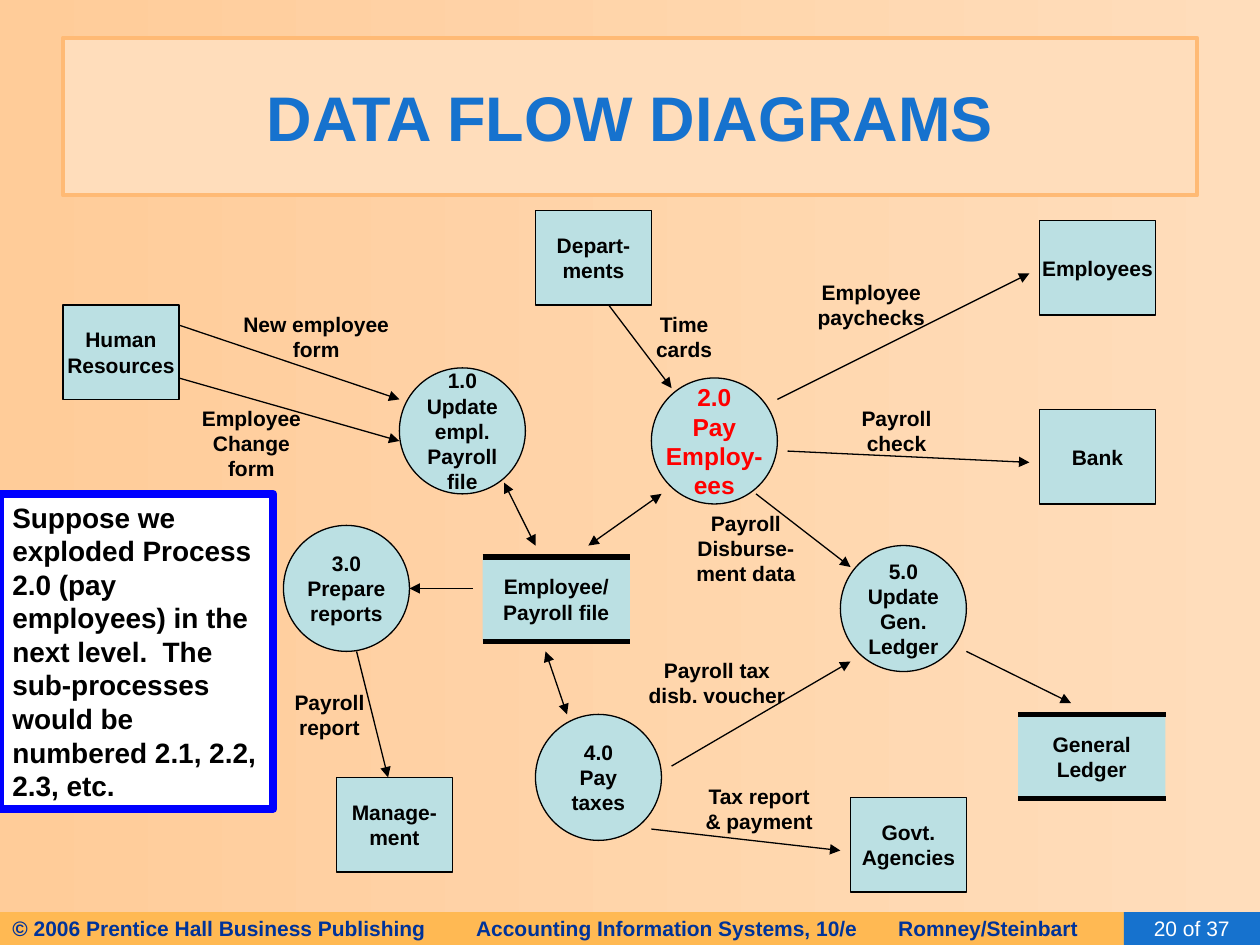
from typing import NamedTuple

from lxml import etree
from pptx import Presentation
from pptx.dml.color import RGBColor
from pptx.enum.shapes import MSO_CONNECTOR, MSO_SHAPE
from pptx.enum.text import MSO_ANCHOR, MSO_AUTO_SIZE, PP_ALIGN
from pptx.oxml.ns import qn
from pptx.util import Inches, Pt

RECTANGLE, OVAL = MSO_SHAPE.RECTANGLE, MSO_SHAPE.OVAL
STRAIGHT = MSO_CONNECTOR.STRAIGHT
LEFT, CENTER, RIGHT = PP_ALIGN.LEFT, PP_ALIGN.CENTER, PP_ALIGN.RIGHT
TOP, MIDDLE = MSO_ANCHOR.TOP, MSO_ANCHOR.MIDDLE
FIT_SHAPE = MSO_AUTO_SIZE.SHAPE_TO_FIT_TEXT

FONT = "Arial"
COLORS = {
    "background_start": "FFCC99", "background_end": "FFDDBB",
    "title_line": "FFBA75", "blue": "1672CE", "footer": "FFB953",
    "footer_text": "003399", "node": "BBE0E3", "black": "000000",
    "red": "FF0000", "white": "FFFFFF", "note_line": "0000FF",
}
PROCESS_SIZE = (1, 1)
ENTITY_SIZE = (0.92, 0.75)
STORE_SIZE = (1.17, 0.67)


class Node(NamedTuple):
    left: float
    top: float
    text: str
    size: float = 12
    color: str = "black"


class Label(NamedTuple):
    left: float
    top: float
    width: float
    text: str


class Flow(NamedTuple):
    start: tuple[float, float]
    end: tuple[float, float]
    two_way: bool = False


PROCESSES = [
    Node(3.17, 2.92, "1.0\nUpdate\nempl.\nPayroll\nfile"),
    Node(5.17, 3, "2.0\nPay\nEmploy-\nees", 14, "red"),
    Node(6.67, 4.33, "5.0\nUpdate\nGen.\nLedger"),
    Node(4.25, 5.67, "4.0\nPay\ntaxes"),
    Node(2.25, 4.17, "3.0\nPrepare\nreports"),
]
STORES = [
    Node(3.83, 4.42, "Employee/\nPayroll file"),
    Node(8.08, 5.67, "General\nLedger"),
]
ENTITIES = [
    Node(0.5, 2.42, "Human\nResources"),
    Node(4.25, 1.67, "Depart-\nments"),
    Node(8.25, 1.75, "Employees"),
    Node(8.25, 3.25, "Bank"),
    Node(6.75, 6.33, "Govt.\nAgencies"),
    Node(2.67, 6.17, "Manage-\nment"),
]
FLOWS = [
    Flow((1.42, 3), (3.17, 3.5)),
    Flow((1.42, 2.58), (3.17, 3.17)),
    Flow((4.83, 2.42), (5.33, 3.08)),
    Flow((6.17, 3.17), (8.17, 2.17)),
    Flow((6.25, 3.58), (8.17, 3.67)),
    Flow((6, 3.92), (6.75, 4.5)),
    Flow((5.33, 6.08), (6.75, 5.25)),
    Flow((7.67, 5.17), (8.5, 5.58)),
    Flow((5.17, 6.58), (6.67, 6.75)),
    Flow((4.5, 5.67), (4.33, 5.17), True),
    Flow((2.83, 5.17), (3.08, 6.17)),
    Flow((3.75, 4.67), (3.25, 4.67)),
    Flow((4, 3.83), (4.25, 4.33), True),
    Flow((4.67, 4.33), (5.25, 3.92), True),
]
LABELS = [
    Label(1.5, 3.17, 0.99, "Employee\nChange\nform"),
    Label(1.83, 2.42, 1.36, "New employee\nform"),
    Label(5.11, 2.42, 0.64, "Time\ncards"),
    Label(6.39, 2.17, 1.05, "Employee\npaychecks"),
    Label(6.74, 3.17, 0.75, "Payroll\ncheck"),
    Label(5.43, 4, 0.98, "Payroll\nDisburse-\nment data"),
    Label(5.05, 5.17, 1.28, "Payroll tax\ndisb. voucher"),
    Label(5.5, 6.17, 1.05, "Tax report\n& payment"),
    Label(2.24, 5.42, 0.75, "Payroll\nreport"),
]


def rgb(name: str) -> RGBColor:
    return RGBColor.from_string(COLORS[name])


def write(shape, text: str, size: float = 12, color: str = "black", bold: bool = True,
          align=CENTER, anchor=MIDDLE, wrap: bool = False, tabs: tuple = ()) -> None:
    """Fill a shape with one paragraph per line of text; tabs are in inches."""
    frame = shape.text_frame
    frame.text = text
    frame.word_wrap = wrap
    frame.vertical_anchor = anchor
    for paragraph in frame.paragraphs:
        paragraph.alignment = align
        if tabs:
            tab_list = etree.SubElement(paragraph._p.get_or_add_pPr(), qn("a:tabLst"))
            for position in tabs:
                etree.SubElement(tab_list, qn("a:tab"), pos=str(Inches(position)), algn="l")
        font = paragraph.font
        font.name, font.size, font.bold = FONT, Pt(size), bold
        font.color.rgb = rgb(color)


def add_box(slide, kind, left: float, top: float, width: float, height: float,
            fill: str, line: str | None = None, line_width: float = 0.75):
    shape = slide.shapes.add_shape(kind, Inches(left), Inches(top), Inches(width), Inches(height))
    shape.shadow.inherit = False
    shape.fill.solid()
    shape.fill.fore_color.rgb = rgb(fill)
    if line:
        shape.line.color.rgb = rgb(line)
        shape.line.width = Pt(line_width)
    else:
        shape.line.fill.background()
    return shape


def add_line(slide, start: tuple[float, float], end: tuple[float, float],
             width: float = 0.75, arrows: tuple = ()) -> None:
    """Draw a black line; arrows names the ends (headEnd, tailEnd) that get a triangle."""
    points = [Inches(value) for value in (*start, *end)]
    connector = slide.shapes.add_connector(STRAIGHT, *points)
    connector.line.color.rgb = rgb("black")
    connector.line.width = Pt(width)
    for arrow in arrows:
        etree.SubElement(connector.line._get_or_add_ln(), qn(f"a:{arrow}"), type="triangle")
    etree.SubElement(connector._element.spPr, qn("a:effectLst"))


def add_node(slide, kind, node: Node, size: tuple[float, float], line: str | None) -> None:
    shape = add_box(slide, kind, node.left, node.top, *size, "node", line)
    write(shape, node.text, node.size, node.color)


def add_store(slide, store: Node) -> None:
    """Draw a data store: a plain box with a thick bar above and below."""
    width, height = STORE_SIZE
    add_node(slide, RECTANGLE, store, STORE_SIZE, None)
    for y in (store.top, store.top + height):
        add_line(slide, (store.left, y), (store.left + width, y), 3)


def add_label(slide, label: Label) -> None:
    """Add a flow label without side margins, so that no line of it breaks."""
    height = 0.1 + 0.2 * len(label.text.split("\n"))
    box = slide.shapes.add_textbox(Inches(label.left), Inches(label.top),
                                   Inches(label.width), Inches(height))
    write(box, label.text, anchor=TOP, wrap=True)
    box.text_frame.margin_left = box.text_frame.margin_right = Inches(0)


def set_background(slide) -> None:
    fill = slide.background.fill
    fill.gradient()
    fill.gradient_angle = 0
    for stop, name in zip(fill.gradient_stops, ("background_start", "background_end")):
        stop.color.rgb = rgb(name)


def add_frame(slide) -> None:
    """Add the footer bars and the title."""
    footer = add_box(slide, RECTANGLE, 0, 7.24, 9.25, 0.26, "footer")
    write(footer, "© 2006 Prentice Hall Business Publishing\tAccounting Information Systems, 10/e"
          "\tRomney/Steinbart", color="footer_text", align=LEFT, wrap=True, tabs=(3.68, 7.03))
    page = add_box(slide, RECTANGLE, 8.92, 7.24, 1.08, 0.26, "blue")
    write(page, "20 of 37", color="white", bold=False, align=RIGHT, wrap=True)
    page.text_frame.margin_right = Inches(0.24)
    title = add_box(slide, RECTANGLE, 0.5, 0.3, 9, 1.25, "background_end", "title_line", 2.5)
    write(title, "DATA FLOW DIAGRAMS", 36, "blue", wrap=True)


def main() -> None:
    presentation = Presentation()
    presentation.slide_width, presentation.slide_height = Inches(10), Inches(7.5)
    slide = presentation.slides.add_slide(presentation.slide_layouts[6])
    set_background(slide)
    add_frame(slide)
    for process in PROCESSES:
        add_node(slide, OVAL, process, PROCESS_SIZE, "black")
    for store in STORES:
        add_store(slide, store)
    for entity in ENTITIES:
        add_node(slide, RECTANGLE, entity, ENTITY_SIZE, "black")
    for flow in FLOWS:
        arrows = ("headEnd", "tailEnd") if flow.two_way else ("tailEnd",)
        add_line(slide, flow.start, flow.end, arrows=arrows)
    for label in LABELS:
        add_label(slide, label)
    note = add_box(slide, RECTANGLE, 0, 3.92, 2.17, 2.5, "white", "note_line", 4.5)
    write(note, "Suppose we exploded Process 2.0 (pay employees) in the next level.  The "
          "sub-processes would be numbered 2.1, 2.2, 2.3, etc.", 16,
          align=LEFT, anchor=TOP, wrap=True)
    note.text_frame.auto_size = FIT_SHAPE
    presentation.save("out.pptx")


if __name__ == "__main__":
    main()
